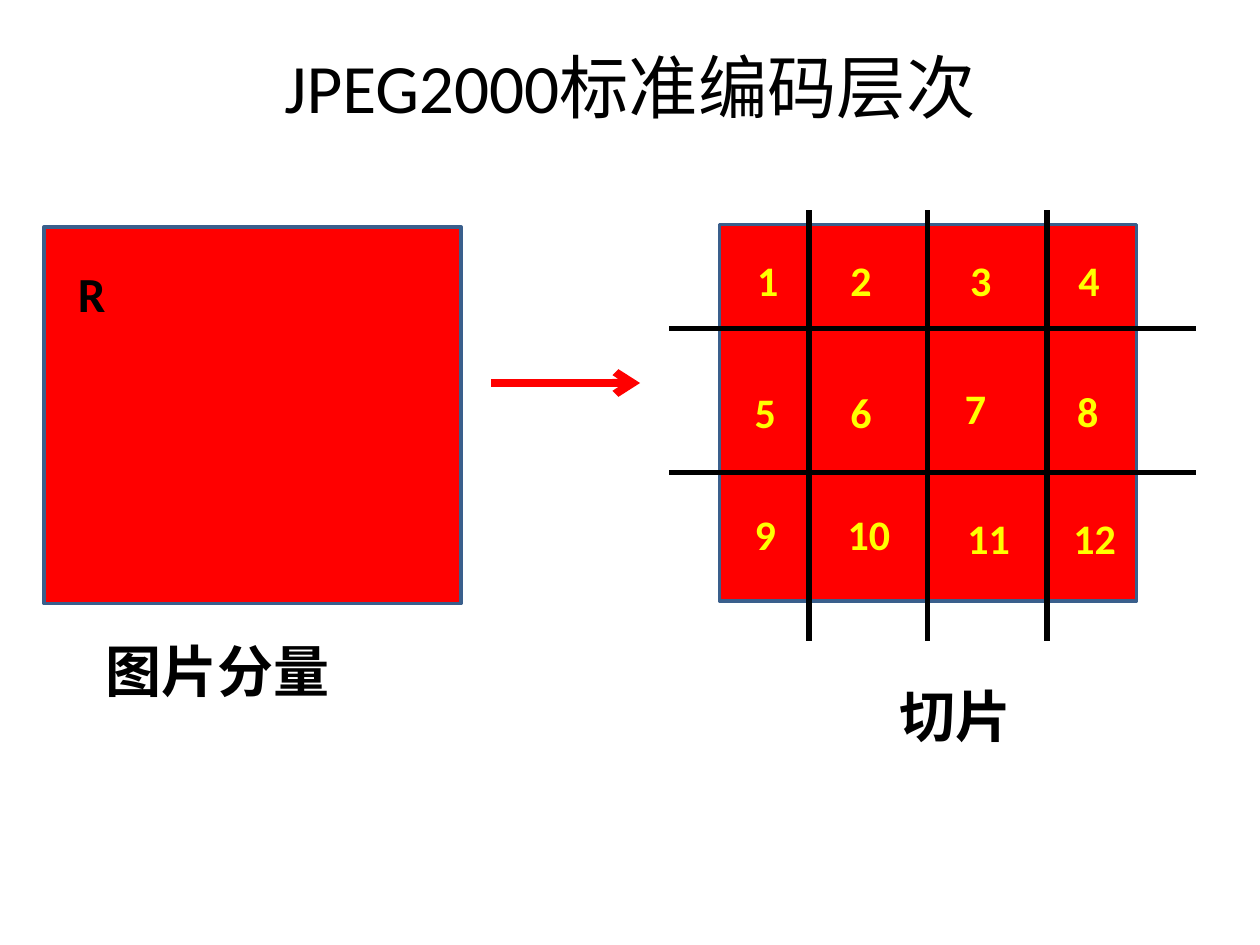
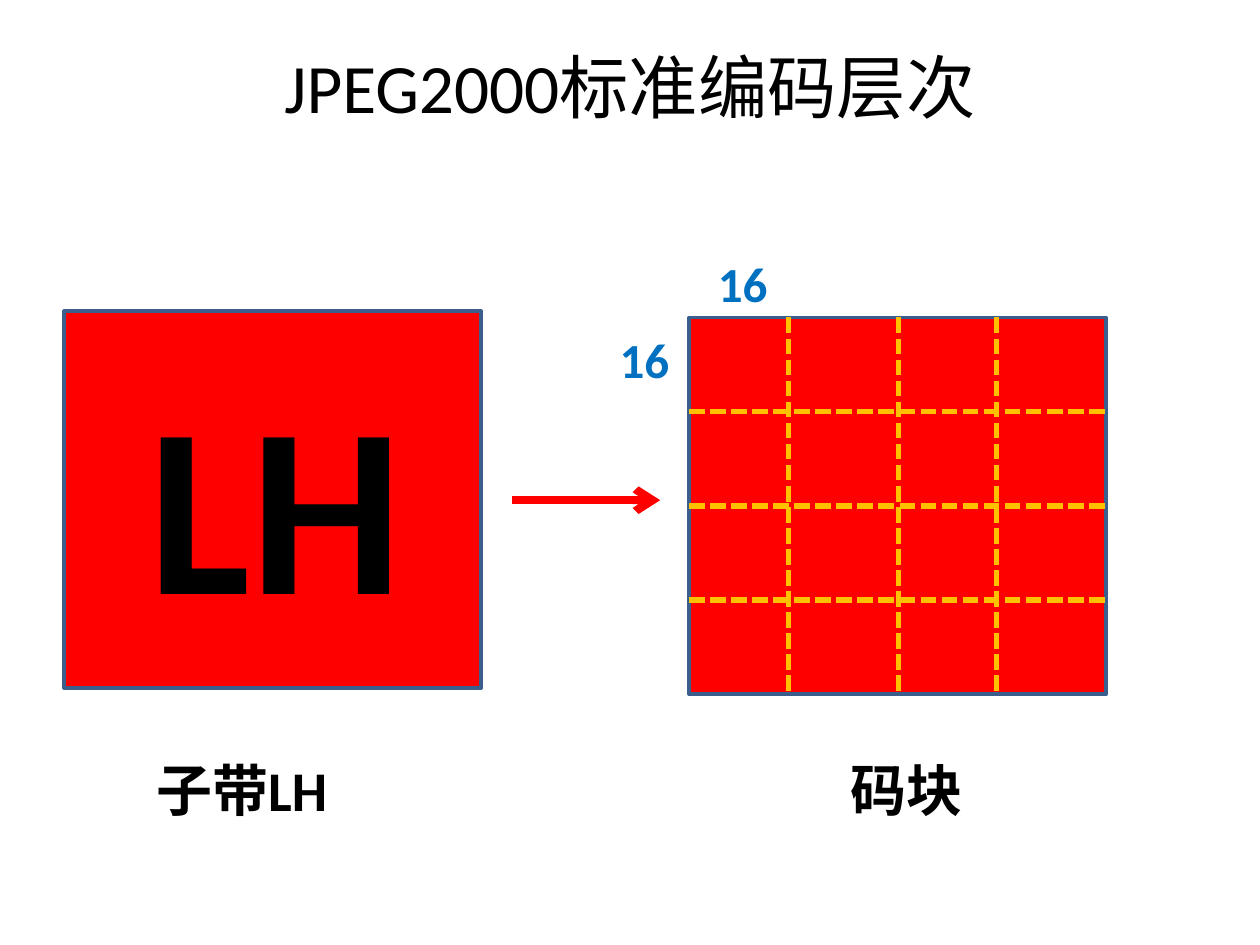
from pptx import Presentation
from pptx.dml.color import RGBColor
from pptx.enum.dml import MSO_LINE
from pptx.enum.shapes import MSO_CONNECTOR, MSO_SHAPE
from pptx.enum.text import MSO_ANCHOR, PP_ALIGN
from pptx.oxml.ns import qn
from pptx.util import Inches, Pt
from lxml.etree import SubElement

COLORS = {
    "panel": "FF0000",
    "border": "3A5F8C",
    "text": "000000",
    "tile": "FFFF00",
    "block": "FFC000",
    "size": "0070C0",
}
FONT = "Calibri"
TITLE = "JPEG2000标准编码层次"
PANEL_WIDTH, PANEL_HEIGHT = 3.31, 2.99
ARROW_LENGTH = 1.18

TILE_COLUMNS = (0.71, 1.65, 2.6)
TILE_ROWS = (0.83, 1.97)
TILE_LABELS = (
    ((0.2, 0.19), (0.94, 0.19), (1.89, 0.19), (2.75, 0.19)),
    ((0.18, 1.24), (0.94, 1.24), (1.85, 1.21), (2.74, 1.23)),
    ((0.18, 2.21), (0.92, 2.21), (1.87, 2.24), (2.71, 2.24)),
)
BLOCK_COLUMNS = (0.79, 1.66, 2.44)
BLOCK_COUNT = 4


def color(name):
    return RGBColor.from_string(COLORS[name])


def add_text(page, left, top, width, height, text, size, ink="text", bold=True):
    box = page.shapes.add_textbox(Inches(left), Inches(top), Inches(width), Inches(height))
    box.text_frame.word_wrap = True
    paragraph = box.text_frame.paragraphs[0]
    paragraph.text = text
    paragraph.font.name = FONT
    paragraph.font.size = Pt(size)
    paragraph.font.bold = bold
    paragraph.font.color.rgb = color(ink)
    return box


def add_title(page):
    box = add_text(page, 0.5, 0.3, 9, 0.77, TITLE, 39.6, bold=False)
    box.text_frame.vertical_anchor = MSO_ANCHOR.MIDDLE
    box.text_frame.paragraphs[0].alignment = PP_ALIGN.CENTER


def add_line(page, start, end, ink, width=3):
    line = page.shapes.add_connector(
        MSO_CONNECTOR.STRAIGHT, *(Inches(value) for value in (*start, *end)))
    line.line.color.rgb = color(ink)
    line.line.width = Pt(width)
    SubElement(line._element.spPr, qn("a:effectLst"))
    return line


def add_arrow(page, left, top):
    arrow = add_line(page, (left, top), (left + ARROW_LENGTH, top), "panel", 4.5)
    SubElement(arrow.line._get_or_add_ln(), qn("a:tailEnd"), type="arrow")


def add_panel(page, left, top):
    panel = page.shapes.add_shape(
        MSO_SHAPE.RECTANGLE, Inches(left), Inches(top),
        Inches(PANEL_WIDTH), Inches(PANEL_HEIGHT))
    panel.shadow.inherit = False
    panel.fill.solid()
    panel.fill.fore_color.rgb = color("panel")
    panel.line.color.rgb = color("border")
    panel.line.width = Pt(2)


def add_grid(page, left, top, columns, rows, x_range, y_range, ink):
    horizontal = [
        add_line(page, (left + x_range[0], top + row), (left + x_range[1], top + row), ink)
        for row in rows]
    vertical = [
        add_line(page, (left + column, top + y_range[0]), (left + column, top + y_range[1]), ink)
        for column in columns]
    return horizontal + vertical


def add_component(page, left, top):
    add_panel(page, left, top)
    add_text(page, left + 0.17, top + 0.24, 0.44, 0.57, "R", 28)
    add_text(page, left + 0.39, top + 3.2, 2.05, 0.64, "图片分量", 32)


def add_tiles(page, left, top):
    add_panel(page, left, top)
    add_grid(page, left, top, TILE_COLUMNS, TILE_ROWS, (-0.4, 3.78), (-0.11, 3.31), "text")
    places = [place for row in TILE_LABELS for place in row]
    for number, (x, y) in enumerate(places, 1):
        width = 0.51 if number < 10 else 0.74
        add_text(page, left + x, top + y, width, 0.5, str(number), 24, "tile")
    add_text(page, left + 1.33, top + 3.58, 1.12, 0.64, "切片", 32)


def add_subband(page, left, top):
    add_panel(page, left, top)
    add_text(page, left + 0.57, top + 0.28, 2.28, 2.42, "LH", 138)
    add_text(page, left + 0.63, top + 3.48, 2.05, 0.64, "子带LH", 32)


def add_code_blocks(page, left, top):
    add_panel(page, left, top)
    rows = [PANEL_HEIGHT * index / BLOCK_COUNT for index in range(1, BLOCK_COUNT)]
    lines = add_grid(page, left, top, BLOCK_COLUMNS, rows,
                     (0, PANEL_WIDTH), (0, PANEL_HEIGHT), "block")
    for line in lines:
        line.line.dash_style = MSO_LINE.SQUARE_DOT
    for x, y in ((0.13, -0.56), (-0.65, 0.05)):
        add_text(page, left + x, top + y, 0.94, 0.57, "16", 28, "size")
    add_text(page, left + 1.18, top + 3.43, 1.26, 0.64, "码块", 32)


def add_page(deck):
    page = deck.slides.add_slide(deck.slide_layouts[6])
    add_title(page)
    return page


def build_tile_page(deck):
    page = add_page(deck)
    add_component(page, 0.35, 1.8)
    add_arrow(page, 3.9, 3.04)
    add_tiles(page, 5.71, 1.78)


def build_code_block_page(deck):
    page = add_page(deck)
    add_subband(page, 0.51, 2.47)
    add_arrow(page, 4.06, 3.97)
    add_code_blocks(page, 5.47, 2.52)


def main():
    deck = Presentation()
    deck.slide_width = Inches(10)
    deck.slide_height = Inches(7.5)
    build_tile_page(deck)
    build_code_block_page(deck)
    deck.save("out.pptx")


if __name__ == "__main__":
    main()
